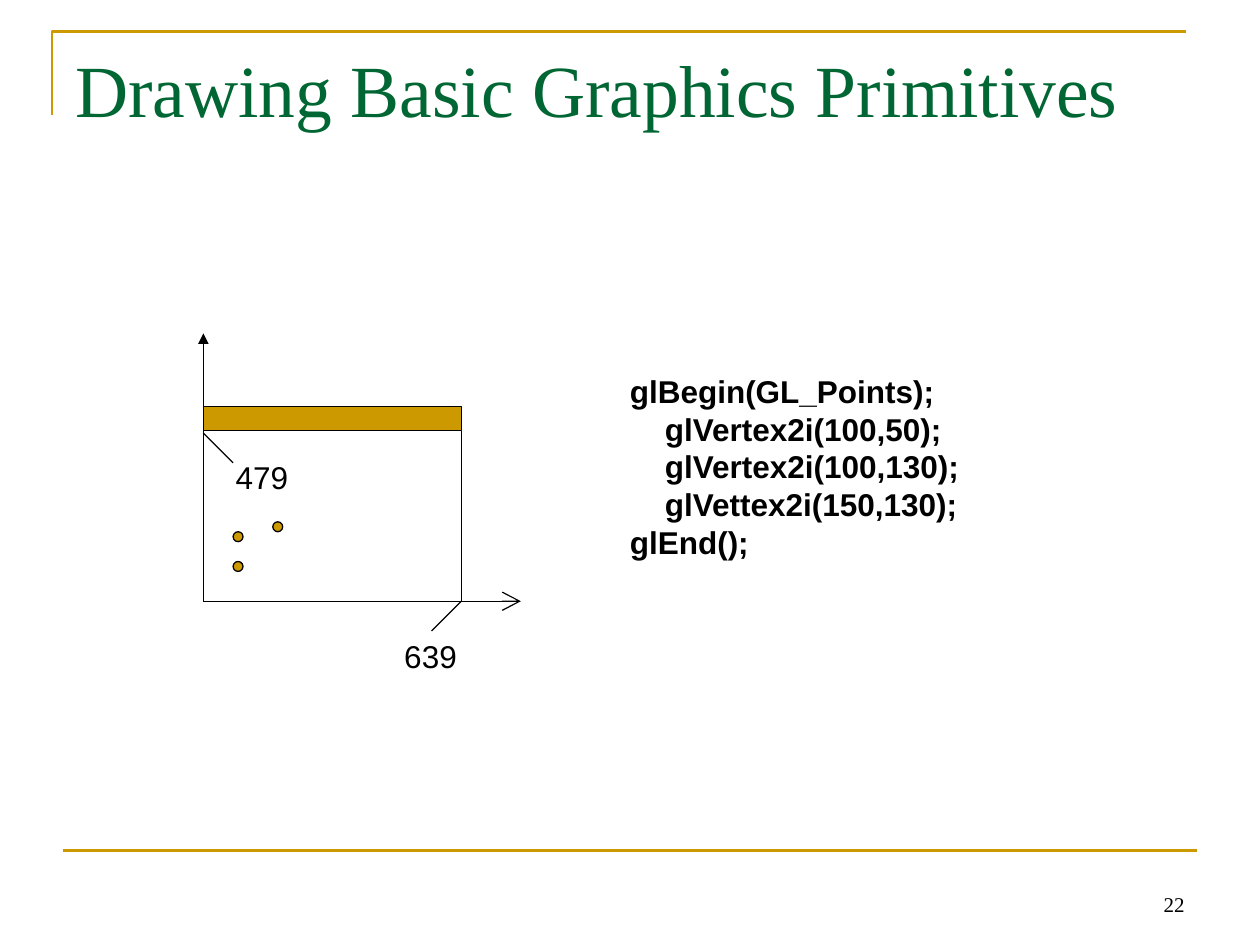
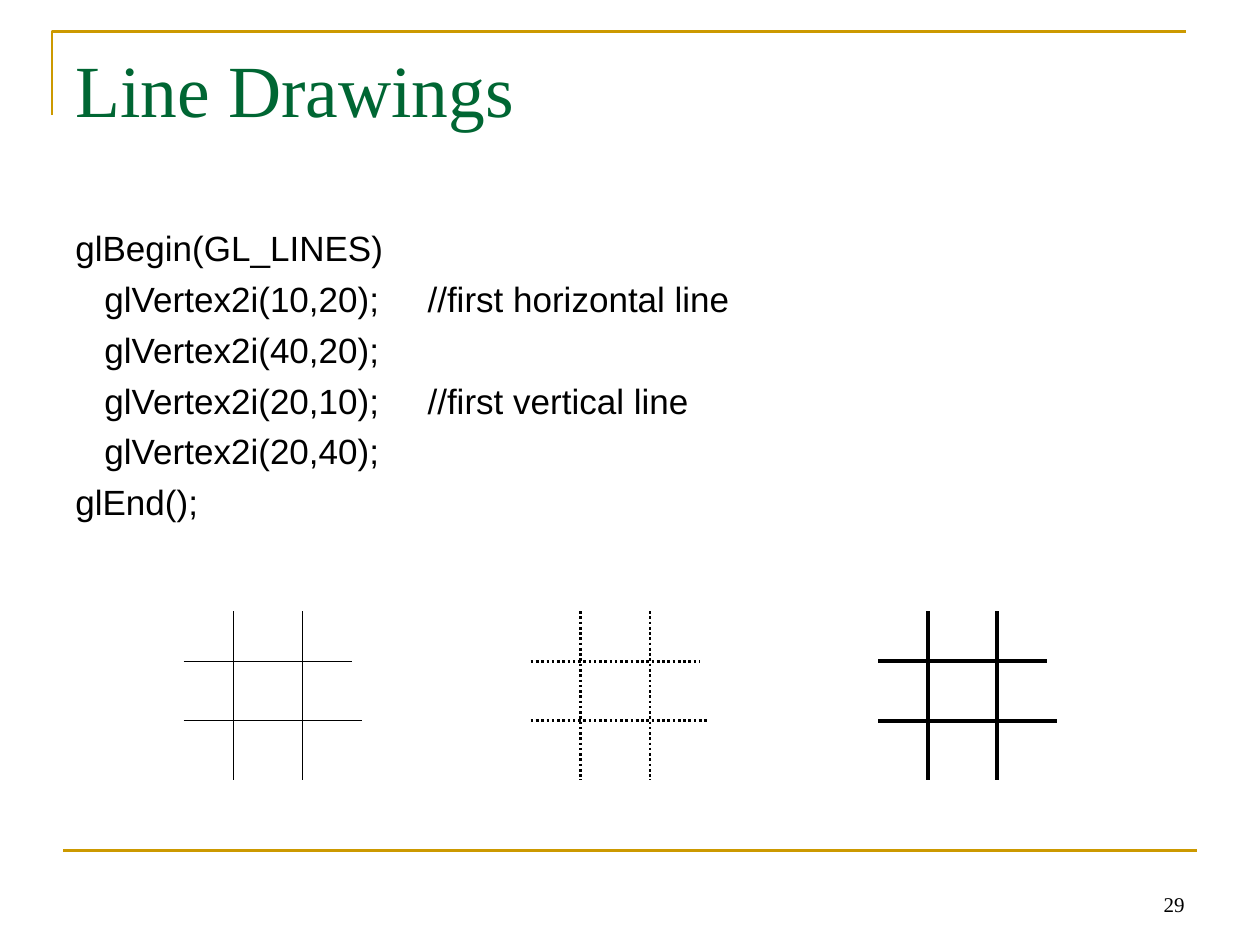
from lxml import etree
from pptx import Presentation
from pptx.dml.color import RGBColor
from pptx.enum import dml, shapes, text
from pptx.oxml import ns
from pptx.util import Cm, Pt

GOLD, GREEN, BLACK = "CC9900", "006633", "000000"
TITLE = {"name": "Times New Roman", "size": Pt(42)}
NUMBER = {"name": "Times New Roman", "size": Pt(12)}
LABEL = {"name": "Arial", "size": Pt(18)}
BOLD_CODE = {"name": "Arial", "size": Pt(18), "bold": True}
BODY_CODE = {"name": "Arial", "size": Pt(20)}
OPEN_ARROW = {"type": "arrow", "w": "lg", "len": "lg"}
SOLID_ARROW = {"type": "triangle"}

POINTS_CODE = """glBegin(GL_Points);
    glVertex2i(100,50);
    glVertex2i(100,130);
    glVettex2i(150,130);
glEnd();"""
LINES_CODE = """glBegin(GL_LINES)
   glVertex2i(10,20);     //first horizontal line
   glVertex2i(40,20);
   glVertex2i(20,10);     //first vertical line
   glVertex2i(20,40);
glEnd();"""


def paint(color_format, value):
    color_format.rgb = RGBColor.from_string(value)


def assign(target, values):
    for name, value in values.items():
        setattr(target, name, value)


def add_text(slide, box, content, font, color=BLACK, align=None, gap=0, **frame_format):
    shape = slide.shapes.add_textbox(*map(Cm, box))
    frame = shape.text_frame
    assign(frame, {"word_wrap": True, **frame_format})
    for index, line in enumerate(content.split("\n")):
        paragraph = frame.add_paragraph() if index else frame.paragraphs[0]
        paragraph.text = line
        paragraph.alignment = align
        assign(paragraph.font, font)
        paint(paragraph.font.color, color)
        if index and gap:
            paragraph.space_before = Pt(gap)


def add_line(target, start, end, color=BLACK, width=0.75, dash=None, arrow=None):
    connector = target.add_connector(shapes.MSO_CONNECTOR.STRAIGHT, *map(Cm, (*start, *end)))
    paint(connector.line.color, color)
    connector.line.width = Pt(width)
    if dash:
        connector.line.dash_style = dash
    properties = connector._element.spPr
    if arrow:
        etree.SubElement(properties.find(ns.qn("a:ln")), ns.qn("a:tailEnd"), arrow)
    etree.SubElement(properties, ns.qn("a:effectLst"))


def add_gold_shape(slide, kind, box):
    shape = slide.shapes.add_shape(kind, *map(Cm, box))
    shape.shadow.inherit = False
    shape.fill.solid()
    paint(shape.fill.fore_color, GOLD)
    paint(shape.line.color, BLACK)
    shape.line.width = Pt(0.75)


def add_corner(slide, left, top, width, height):
    builder = slide.shapes.build_freeform(Cm(left), Cm(top + height))
    builder.add_line_segments([(Cm(left), Cm(top)), (Cm(left + width), Cm(top))], close=False)
    corner = builder.convert_to_shape()
    corner.shadow.inherit = False
    corner.fill.background()
    paint(corner.line.color, GOLD)
    corner.line.width = Pt(1.5)


def add_framed_slide(presentation, title, number):
    slide = presentation.slides.add_slide(presentation.slide_layouts[6])
    add_corner(slide, 1.05, 0.63, 22.86, 1.69)
    add_line(slide.shapes, (1.27, 17.15), (24.13, 17.15), GOLD, 1.5)
    add_text(slide, (1.27, 0.77, 22.86, 3.18), title, TITLE, GREEN)
    add_text(slide, (18.21, 17.34, 5.92, 1.27), str(number), NUMBER,
             align=text.PP_ALIGN.RIGHT, vertical_anchor=text.MSO_ANCHOR.BOTTOM)
    return slide


def draw_screen_plot(slide, left, top, width, height):
    def at(x, y):
        return left + x, top + y

    screen_width, bar_top, bar_height = 5.2, 1.47, 0.49
    bar_bottom = bar_top + bar_height
    add_line(slide.shapes, at(0, height), at(width, height), arrow=OPEN_ARROW)
    add_line(slide.shapes, at(0, height), at(0, 0), arrow=SOLID_ARROW)
    add_gold_shape(slide, shapes.MSO_SHAPE.RECTANGLE,
                   (*at(0, bar_top), screen_width, bar_height))
    add_line(slide.shapes, at(screen_width, bar_bottom), at(screen_width, height))
    add_line(slide.shapes, at(screen_width, height), at(screen_width - 0.6, height + 0.6))
    add_line(slide.shapes, at(0, bar_bottom + 0.05), at(0.6, bar_bottom + 0.65))
    for label, x, y in (("639", 3.8, 6), ("479", 0.4, 2.39)):
        add_text(slide, (*at(x, y), 1.6, 1.02), label, LABEL, word_wrap=False,
                 auto_size=text.MSO_AUTO_SIZE.SHAPE_TO_FIT_TEXT)
    for x, y in ((0.6, 4), (0.6, 4.6), (1.4, 3.8)):
        add_gold_shape(slide, shapes.MSO_SHAPE.OVAL, (*at(x, y), 0.2, 0.2))


def draw_line_grid(slide, left, top, width, dash):
    grid = slide.shapes.add_group_shape().shapes
    for y, length in ((1.01, 3.4), (2.21, 3.6)):
        add_line(grid, (left, top + y), (left + length, top + y), width=width, dash=dash)
    for x in (1, 2.4):
        add_line(grid, (left + x, top), (left + x, top + 3.4), width=width, dash=dash)


def build_points_slide(presentation):
    slide = add_framed_slide(presentation, "Drawing Basic Graphics Primitives", 22)
    draw_screen_plot(slide, 4.1, 6.72, 6.4, 5.4)
    add_text(slide, (12.45, 7.37, 8.05, 4.06), POINTS_CODE, BOLD_CODE)


def build_lines_slide(presentation):
    slide = add_framed_slide(presentation, "Line Drawings", 29)
    add_text(slide, (1.27, 4.45, 22.86, 12.57), LINES_CODE, BODY_CODE, gap=5)
    styles = ((0.75, None), (1.5, dml.MSO_LINE.ROUND_DOT), (2.25, None))
    for index, (width, dash) in enumerate(styles):
        draw_line_grid(slide, 3.7 + 7 * index, 12.32, width, dash)


def main():
    presentation = Presentation()
    assign(presentation, {"slide_width": Cm(25.4), "slide_height": Cm(19.05)})
    build_points_slide(presentation)
    build_lines_slide(presentation)
    presentation.save("out.pptx")


if __name__ == "__main__":
    main()
